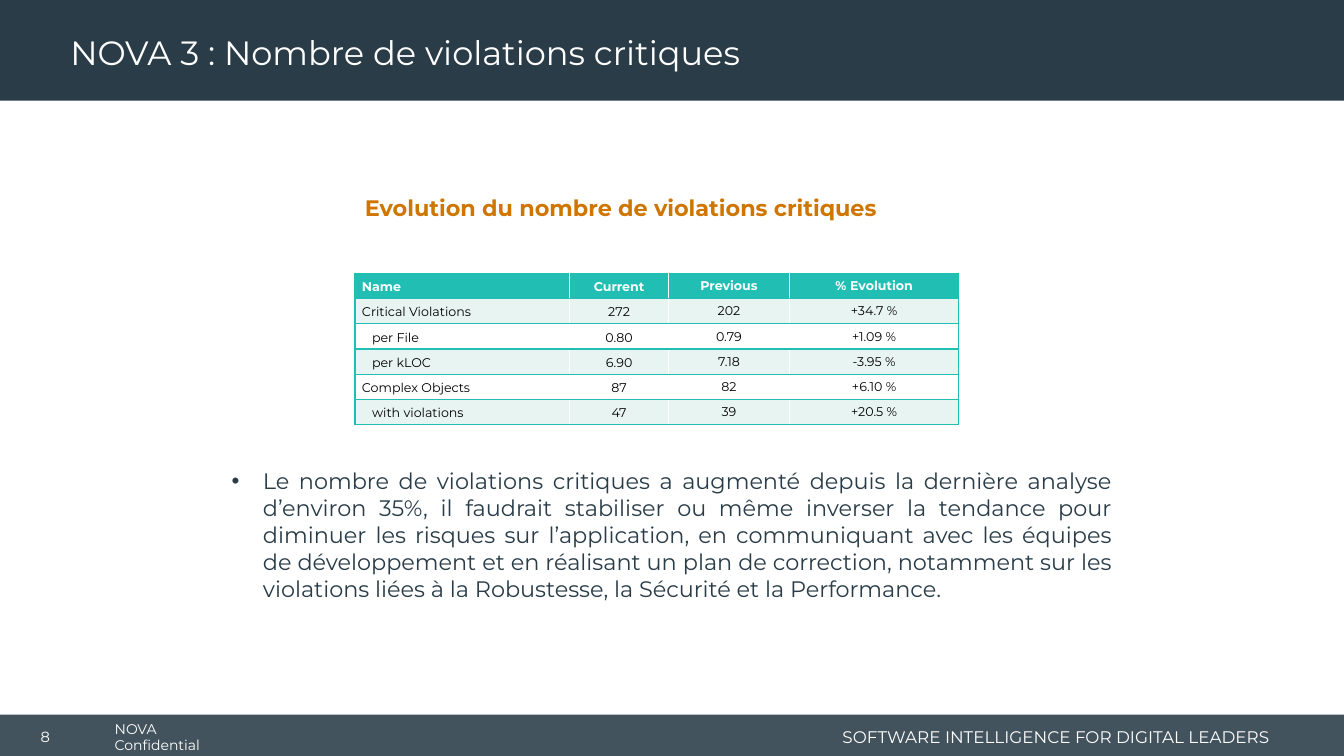
from lxml.etree import SubElement
from pptx import Presentation
from pptx.dml.color import RGBColor
from pptx.enum.shapes import MSO_SHAPE
from pptx.enum.text import MSO_ANCHOR as ANCHOR, PP_ALIGN as ALIGN
from pptx.oxml import parse_xml
from pptx.oxml.ns import nsdecls, qn
from pptx.util import Inches, Pt

NAVY = RGBColor(0x29, 0x3C, 0x47)
TEAL = RGBColor(0x20, 0xBE, 0xB3)
MINT = RGBColor(0xE8, 0xF4, 0xF2)
ORANGE = RGBColor(0xCF, 0x76, 0x00)
WHITE = RGBColor(0xFF, 0xFF, 0xFF)
BLACK = RGBColor(0, 0, 0)

deck = Presentation()
deck.slide_width, deck.slide_height = Inches(13.33), Inches(7.5)
slide = deck.slides.add_slide(deck.slide_layouts[6])


def area(left, top, width, height):
    across, down = deck.slide_width / 100, deck.slide_height / 100
    return [round(v) for v in (left * across, top * down, width * across, height * down)]


def style(paragraph, text, size, color, align=ALIGN.LEFT, bold=False):
    paragraph.text = text
    paragraph.alignment = align
    font = paragraph.font
    font.name, font.size, font.bold = "Montserrat", Pt(size), bold
    font.color.rgb = color


bands = []
for top, height in [(94.53, 5.47), (0, 13.33)]:
    band = slide.shapes.add_shape(MSO_SHAPE.RECTANGLE, *area(0, top, 100, height))
    band.shadow.inherit = False
    band.fill.solid()
    band.fill.fore_color.rgb = NAVY
    band.line.fill.background()
    bands.append(band)
footer_color = bands[0].fill._xPr.find(qn("a:solidFill"))[0]
SubElement(footer_color, qn("a:alpha"), val="88000")

conclusion = (
    "Le nombre de violations critiques a augmenté depuis la dernière analyse d’environ 35%, "
    "il faudrait stabiliser ou même inverser la tendance pour diminuer les risques sur "
    "l’application, en communiquant avec les équipes de développement et en réalisant un plan "
    "de correction, notamment sur les violations liées à la Robustesse, la Sécurité et la "
    "Performance."
)
texts = [
    ((7.8, 94.8, 11.1, 5.33), "NOVA Confidential", 10, WHITE, ALIGN.LEFT, False, ANCHOR.MIDDLE),
    ((60.84, 95.33, 34.36, 4.27), "SOFTWARE INTELLIGENCE FOR DIGITAL LEADERS", 12, WHITE,
     ALIGN.RIGHT, False, ANCHOR.MIDDLE),
    ((0.68, 94.8, 5.4, 5.33), "8", 10.5, WHITE, ALIGN.CENTER, False, ANCHOR.MIDDLE),
    ((4.5, 0.53, 71.87, 12.8), "NOVA 3 : Nombre de violations critiques", 24, WHITE,
     ALIGN.LEFT, False, ANCHOR.MIDDLE),
    ((26.41, 25.07, 40.06, 4.93), "Evolution du nombre de violations critiques", 16, ORANGE,
     ALIGN.LEFT, True, ANCHOR.TOP),
    ((16.5, 61.2, 67, 21.47), conclusion, 16, NAVY, ALIGN.JUSTIFY, False, ANCHOR.TOP),
]
for place, text, size, color, align, bold, anchor in texts:
    frame = slide.shapes.add_textbox(*area(*place)).text_frame
    frame.word_wrap = True
    frame.vertical_anchor = anchor
    style(frame.paragraphs[0], text, size, color, align, bold)

bullet = frame.paragraphs[0]._p.get_or_add_pPr()
bullet.set("marL", str(Inches(0.31)))
bullet.set("indent", str(-Inches(0.31)))
bullet.insert(0, parse_xml(f'<a:buFont {nsdecls("a")} typeface="Arial"/>'))
bullet.insert(1, parse_xml(f'<a:buChar {nsdecls("a")} char="•"/>'))

measures = [
    ("Name", "Current", "Previous", "% Evolution"),
    ("Critical Violations", "272", "202", "+34.7 %"),
    ("per File", "0.80", "0.79", "+1.09 %"),
    ("per kLOC", "6.90", "7.18", "-3.95 %"),
    ("Complex Objects", "87", "82", "+6.10 %"),
    ("with violations", "47", "39", "+20.5 %"),
]
sub_measures = {"per File", "per kLOC", "with violations"}
column_shares = [15.98, 7.35, 9, 12.6]
evolution = slide.shapes.add_table(
    len(measures), len(column_shares), *area(26.41, 36.13, sum(column_shares), 20)).table
for column, share in zip(evolution.columns, column_shares):
    column.width = area(0, 0, share, 0)[2]

for r, measure in enumerate(measures):
    for c, value in enumerate(measure):
        cell = evolution.cell(r, c)
        cell.vertical_anchor = ANCHOR.MIDDLE
        cell.fill.solid()
        cell.fill.fore_color.rgb = TEAL if r == 0 else MINT if r % 2 else WHITE
        entry = cell.text_frame.paragraphs[0]
        style(entry, value, 9, BLACK if r else WHITE, ALIGN.CENTER if c else ALIGN.LEFT, r == 0)
        if c < 2:
            entry.line_spacing = 1.15
            cell.margin_left = cell.margin_right = Inches(0.07)
            cell.margin_top = cell.margin_bottom = 0
        if value in sub_measures:
            cell.margin_left = Inches(0.17)
        sides = ["lnL"] * (c == 0) + ["lnR"] * (c == len(measure) - 1) + ["lnT", "lnB"]
        for position, side in enumerate(sides):
            cell._tc.get_or_add_tcPr().insert(position, parse_xml(
                f'<a:{side} {nsdecls("a")} w="{Pt(1)}"><a:solidFill>'
                f'<a:srgbClr val="{TEAL}"/></a:solidFill></a:{side}>'))

deck.save("out.pptx")
